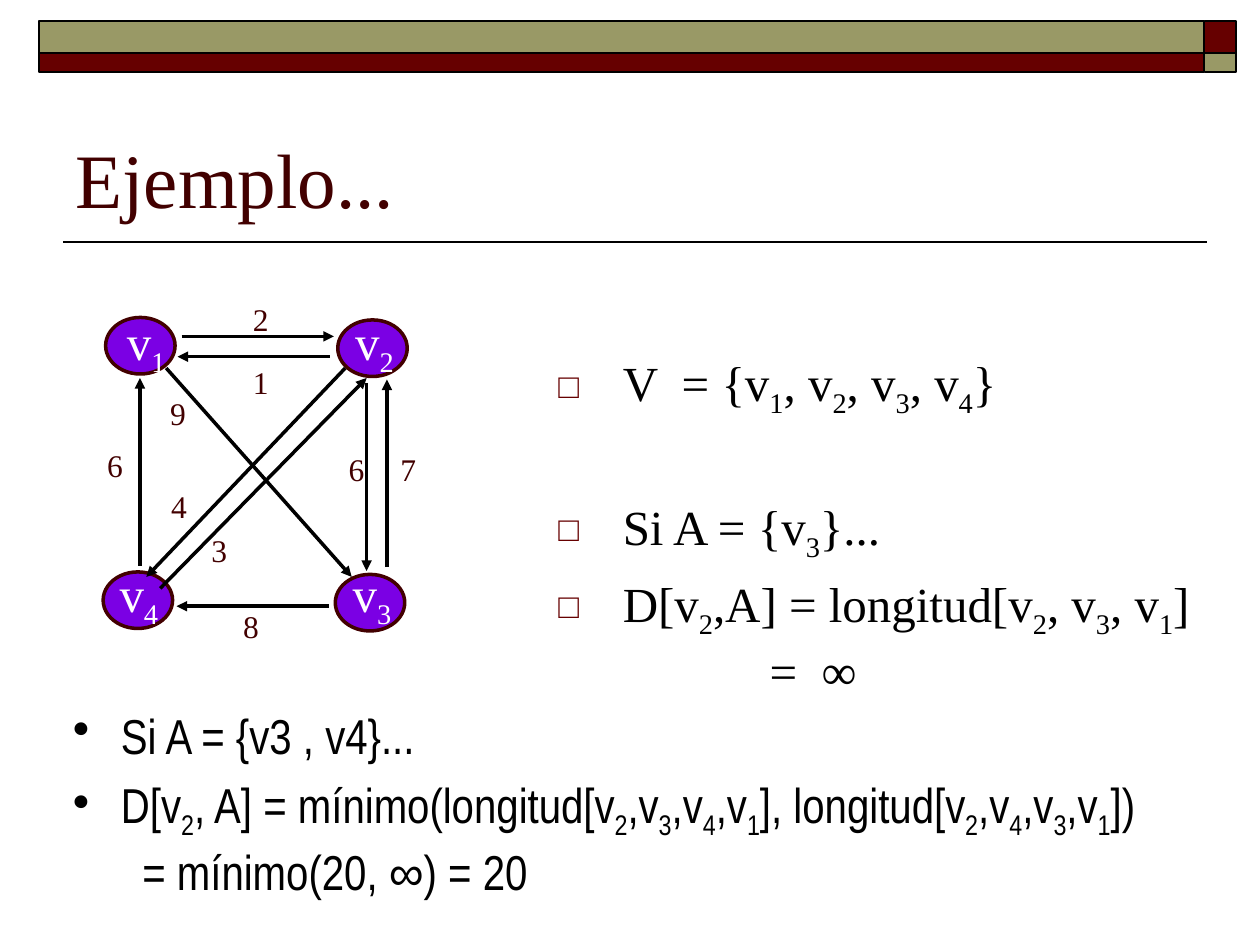
import pptx
import pptx.dml.color
import pptx.enum.shapes
import pptx.enum.text
import pptx.oxml.ns
import pptx.util
from lxml import etree
from pptx.util import Cm, Pt

RGBColor = pptx.dml.color.RGBColor
SHAPE = pptx.enum.shapes.MSO_SHAPE
ANCHOR = pptx.enum.text.MSO_ANCHOR
qn = pptx.oxml.ns.qn

BLACK = RGBColor(0, 0, 0)
WHITE = RGBColor(255, 255, 255)
MAROON = RGBColor(0x66, 0, 0)
DARK_MAROON = RGBColor(0x42, 0, 0)
OLIVE = RGBColor(0x99, 0x99, 0x66)
VIOLET = RGBColor(0x7B, 0, 0xE4)
SERIF = "Times New Roman"
NARROW = "Arial Narrow"

# An underscore makes the next character a subscript.
# Each list line: text, has a bullet, indent in cm, space before in points.
TITLE = "Ejemplo..."
SET_LINES = [
    ("V  = {v_1, v_2, v_3, v_4}", True, 1.3, 0),
    ("Si A = {v_3}...", True, 1.3, 44),
    ("D[v_2,A] = longitud[v_2, v_3, v_1]", True, 1.3, 5.6),
    ("=  ∞", False, 4.26, 0),
]
MINIMUM_LINES = [
    ("Si A = {v3 , v4}...", True, 0.97, 0),
    ("D[v_2, A] = mínimo(longitud[v_2,v_3,v_4,v_1], longitud[v_2,v_4,v_3,v_1])",
     True, 0.97, 5.6),
    ("= mínimo(20, ∞) = 20", False, 1.4, 0),
]

# Node: label, ellipse corner, label corner (cm)
NODES = [
    ("v_1", (2.13, 6.4), (2.31, 6.15)),
    ("v_2", (6.81, 6.45), (6.91, 6.15)),
    ("v_3", (6.76, 11.58), (6.86, 11.23)),
    ("v_4", (2.08, 11.53), (2.16, 11.23)),
]
# Edge: weight, tail, arrowhead, label corner (cm)
EDGES = [
    ("2", (3.66, 6.78), (6.73, 6.78), (4.85, 5.92)),
    ("1", (6.65, 7.19), (3.58, 7.19), (4.85, 7.19)),
    ("8", (6.63, 12.22), (3.56, 12.22), (4.65, 12.12)),
    ("6", (7.39, 7.72), (7.39, 11.51), (6.78, 8.94)),
    ("7", (7.8, 11.43), (7.8, 7.65), (7.82, 8.94)),
    ("6", (2.82, 11.4), (2.82, 7.62), (1.91, 8.86)),
    ("4", (6.96, 7.42), (2.95, 11.63), (3.2, 9.7)),
    ("3", (3.23, 11.86), (7.39, 7.62), (4.01, 10.59)),
    ("9", (3.35, 7.42), (7.09, 11.63), (3.18, 7.82)),
]
BAND_X = (0.79, 24.28, 24.92)
BAND_Y = (0.43, 1.07, 1.45)
BAND_COLORS = ((OLIVE, MAROON), (MAROON, OLIVE))


def place(shape, left, top, width, height):
    shape.left, shape.top = Cm(left), Cm(top)
    shape.width, shape.height = Cm(width), Cm(height)


def add_runs(paragraph, text, size, font, color):
    """Add text run by run, lowering each character that follows an underscore."""
    first, *rest = text.split("_")
    pieces = [(first, False)]
    for part in rest:
        pieces += [(part[0], True), (part[1:], False)]
    for piece, lowered in pieces:
        if not piece:
            continue
        run = paragraph.add_run()
        run.text = piece
        run.font.size = Pt(size)
        run.font.name = font
        run.font.color.rgb = color
        if lowered:
            run.font._element.set("baseline", "-25000")


def set_bullet(paragraph, indent, hanging, character, color, percent):
    properties = paragraph._p.get_or_add_pPr()
    properties.set("marL", str(Cm(indent)))
    properties.set("indent", str(-Cm(hanging)))
    if character is None:
        etree.SubElement(properties, qn("a:buNone"))
        return
    bullet_color = etree.SubElement(properties, qn("a:buClr"))
    etree.SubElement(bullet_color, qn("a:srgbClr")).set("val", str(color))
    etree.SubElement(properties, qn("a:buSzPct")).set("val", str(percent * 1000))
    etree.SubElement(properties, qn("a:buChar")).set("char", character)


def fill_list(frame, lines, font, character, color, percent):
    frame.word_wrap = True
    frame.auto_size = pptx.enum.text.MSO_AUTO_SIZE.NONE
    frame.vertical_anchor = ANCHOR.TOP
    for index, (text, bulleted, indent, space) in enumerate(lines):
        paragraph = frame.add_paragraph() if index else frame.paragraphs[0]
        paragraph.space_before = Pt(space)
        set_bullet(paragraph, indent, indent if bulleted else 0,
                   character if bulleted else None, color, percent)
        add_runs(paragraph, text, 28, font, BLACK)


def add_label(slide, text, corner, width, height, size, color):
    box = slide.shapes.add_textbox(Cm(corner[0]), Cm(corner[1]), Cm(width), Cm(height))
    box.text_frame.word_wrap = True
    add_runs(box.text_frame.paragraphs[0], text, size, SERIF, color)


def add_filled(slide, kind, left, top, width, height, fill, line, line_width):
    shape = slide.shapes.add_shape(kind, Cm(left), Cm(top), Cm(width), Cm(height))
    shape.shadow.inherit = False
    shape.fill.solid()
    shape.fill.fore_color.rgb = fill
    shape.line.color.rgb = line
    shape.line.width = Pt(line_width)


def add_line(slide, start, end, width, arrow=False):
    connector = slide.shapes.add_connector(
        pptx.enum.shapes.MSO_CONNECTOR.STRAIGHT, *map(Cm, start + end))
    connector.line.color.rgb = BLACK
    connector.line.width = Pt(width)
    if arrow:
        line = connector.line._get_or_add_ln()
        etree.SubElement(line, qn("a:tailEnd")).set("type", "triangle")
    etree.SubElement(connector._element.spPr, qn("a:effectLst"))


def add_frame(slide):
    add_line(slide, (1.27, 4.88), (24.33, 4.88), 1)
    for row, colors in enumerate(BAND_COLORS):
        for column, color in enumerate(colors):
            left, top = BAND_X[column], BAND_Y[row]
            add_filled(slide, SHAPE.RECTANGLE, left, top, BAND_X[column + 1] - left,
                       BAND_Y[row + 1] - top, color, BLACK, 1)


def add_graph(slide):
    for _, corner, _ in NODES:
        add_filled(slide, SHAPE.OVAL, *corner, 1.4, 1.14, VIOLET, DARK_MAROON, 2)
    for _, tail, head, _ in EDGES:
        add_line(slide, tail, head, 2, arrow=True)
    for name, _, corner in NODES:
        add_label(slide, name, corner, 1.62, 1.42, 28, WHITE)
    for weight, _, _, corner in EDGES:
        add_label(slide, weight, corner, 0.83, 1.02, 18, DARK_MAROON)


def main():
    presentation = pptx.Presentation()
    presentation.slide_width, presentation.slide_height = Cm(25.4), Cm(19.05)
    slide = presentation.slides.add_slide(presentation.slide_layouts[1])
    add_frame(slide)

    title = slide.shapes.title
    place(title, 1.27, 1.47, 22.86, 3.18)
    title.text_frame.vertical_anchor = ANCHOR.BOTTOM
    paragraph = title.text_frame.paragraphs[0]
    paragraph.alignment = pptx.enum.text.PP_ALIGN.LEFT
    add_runs(paragraph, TITLE, 44, SERIF, DARK_MAROON)

    body = slide.placeholders[1]
    place(body, 11, 5.51, 13.54, 8.46)
    body.text_frame.margin_top = Cm(1.6)
    fill_list(body.text_frame, SET_LINES, SERIF, "□", MAROON, 70)

    add_graph(slide)
    minimum = slide.shapes.add_textbox(Cm(1.22), Cm(14.1), Cm(23.11), Cm(2.29))
    fill_list(minimum.text_frame, MINIMUM_LINES, NARROW, "•", BLACK, 100)
    presentation.save("out.pptx")


if __name__ == "__main__":
    main()
